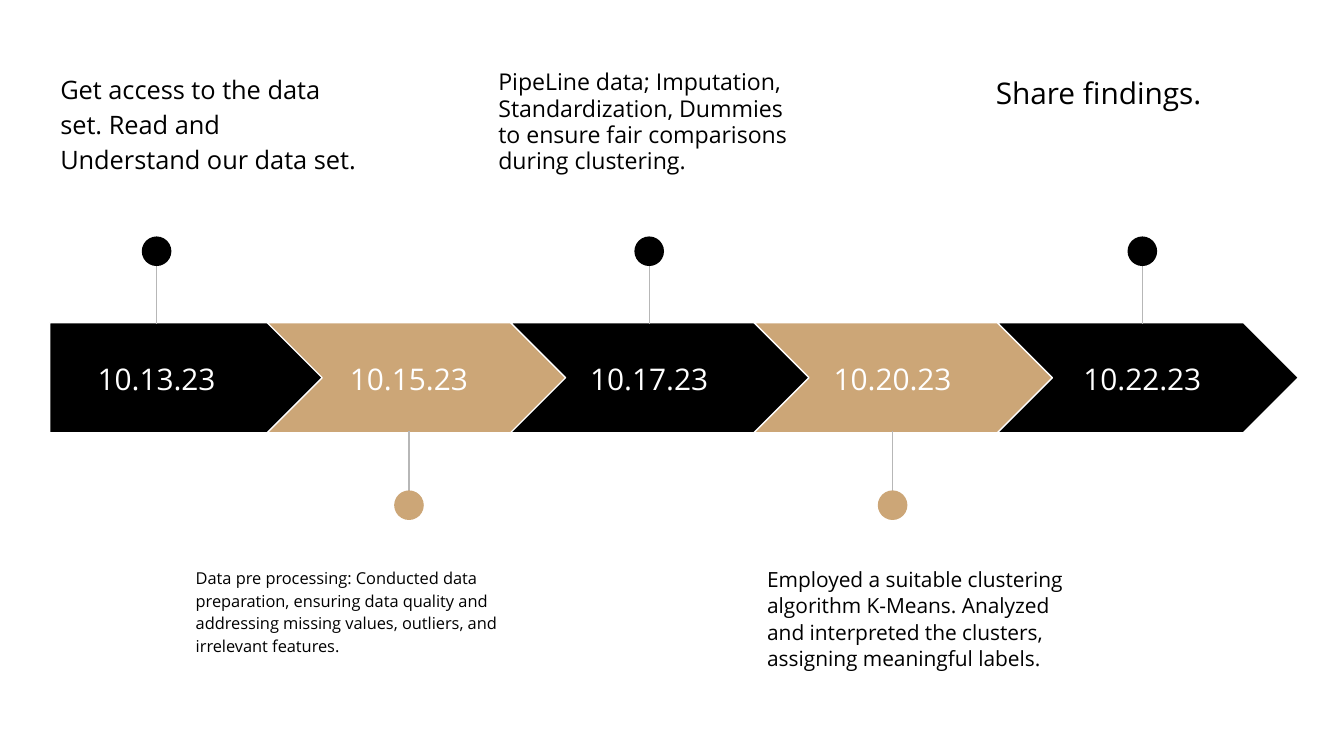
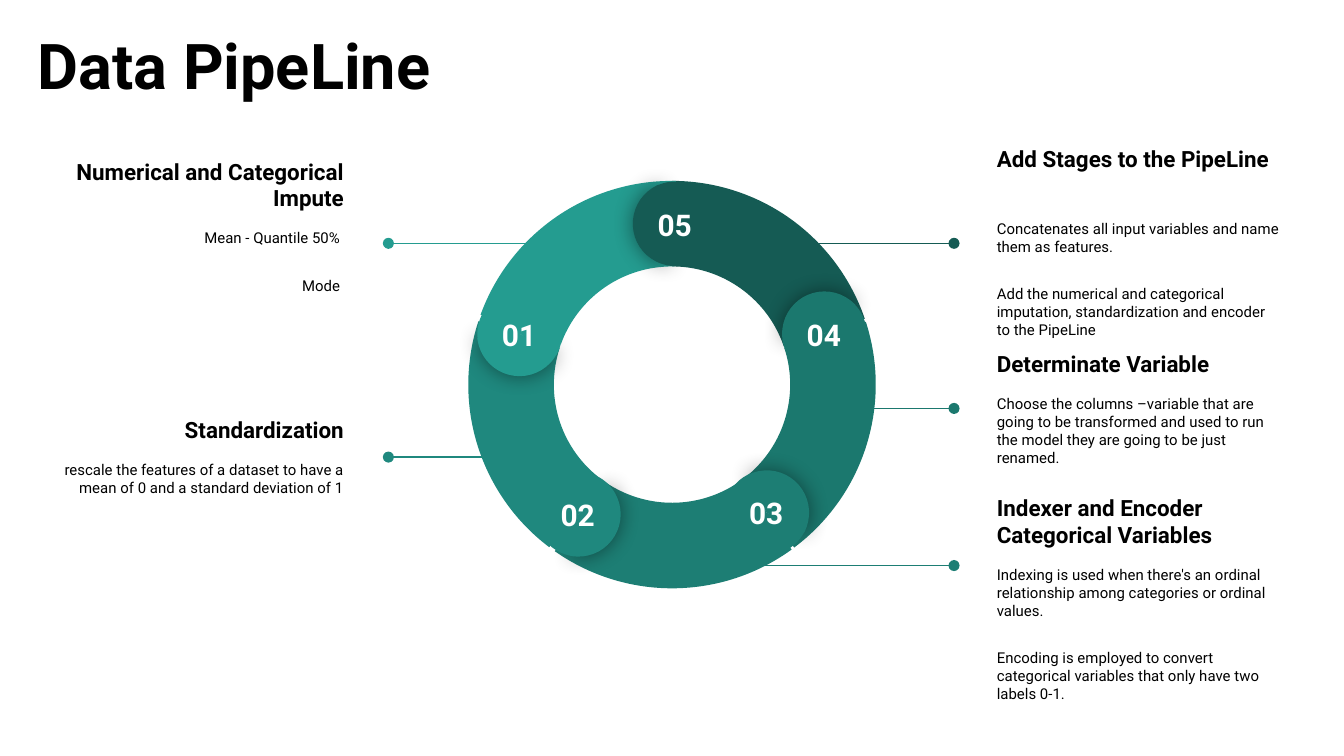
import pptx
import pptx.dml.color
import pptx.enum.shapes
import pptx.enum.text
import pptx.oxml
import pptx.oxml.ns
import pptx.oxml.xmlchemy
import pptx.util

Cm = pptx.util.Cm
Pt = pptx.util.Pt
SHAPE = pptx.enum.shapes.MSO_SHAPE
ALIGN = pptx.enum.text.PP_ALIGN
ANCHOR = pptx.enum.text.MSO_ANCHOR
qn = pptx.oxml.ns.qn
new_element = pptx.oxml.xmlchemy.OxmlElement

BLACK, WHITE, TAN, GREY = "000000", "FFFFFF", "CCA677", "B7B7B7"
TIMELINE_FONT, PIPELINE_FONT = "Open Sans", "Roboto"
INSET = 0.25
BLANK_LAYOUT = 6

MILESTONES = [
    ("10.13.23", 2.96, 0.89, 13.6, 1.15,
     "Get access to the data set. Read and Understand our data set."),
    ("10.15.23", 7.73, 3.45, 8.8, 1.15,
     "Data pre processing: Conducted data preparation, ensuring data quality "
     "and addressing missing values, outliers, and irrelevant features."),
    ("10.17.23", 12.27, 9.17, 12.4, 0.95,
     "PipeLine data; Imputation, Standardization, Dummies to ensure fair "
     "comparisons during clustering."),
    ("10.20.23", 16.87, 14.25, 11.2, 1.05,
     "Employed a suitable clustering algorithm K-Means. Analyzed and "
     "interpreted the clusters, assigning meaningful labels."),
    ("10.22.23", 21.59, 18.57, 16, 1.15, "Share findings."),
]

SEGMENTS = [
    ("02", "1F887E", 277, 211.1, 10.13, 8.92),
    ("04", "1B786E", 132, 67.1, 14.78, 5.51),
    ("05", "155B54", 60, 357.1, 11.96, 3.43),
    ("03", "1D7E74", 204, 139.1, 13.69, 8.89),
    ("01", "249C90", 350, 284.1, 9.02, 5.51),
]
SEGMENT_COLOURS = {segment[0]: segment[1] for segment in SEGMENTS}

STAGES = [
    ("01", "left", 3.45, 1.98, (10.74, 4.6), 9.4, 0.58,
     "Numerical and Categorical Impute", ["Mean - Quantile 50% ", "Mode "]),
    ("02", "left", 7.34, 2.57, (9.93, 8.64), 9.4, INSET,
     "Standardization",
     ["rescale the features of a dataset to have a mean of 0 and a standard "
      "deviation of 1"]),
    ("03", "right", 9.42, 4.11, (12.93, 10.69), 9.4, 0.58,
     "Indexer and Encoder Categorical Variables",
     ["Indexing is used when there's an ordinal relationship among "
      "categories or ordinal values.",
      "Encoding is employed to convert categorical variables that only have "
      "two labels 0-1."]),
    ("04", "right", 6.43, 2.57, (15.6, 7.72), 9.4, INSET,
     "Determinate Variable",
     ["Choose the columns –variable that are going to be transformed and "
      "used to run the model they are going to be just renamed."]),
    ("05", "right", 3.45, 2.57, (14.48, 4.6), 25.4, 0.58,
     "Add Stages to the PipeLine",
     ["Concatenates all input variables and name them as features.",
      "Add the numerical and categorical imputation, standardization and "
      "encoder to the PipeLine"]),
]
SIDES = {"left": (0.86, 7.34, ALIGN.RIGHT), "right": (18.59, 18.03, ALIGN.LEFT)}


def colour(value):
    return pptx.dml.color.RGBColor.from_string(value)


def add_figure(page, kind, left, top, width, height, fill,
               outline=None, adjustments=(), rotation=0):
    figure = page.shapes.add_shape(kind, Cm(left), Cm(top), Cm(width), Cm(height))
    figure.shadow.inherit = False
    figure.fill.solid()
    figure.fill.fore_color.rgb = colour(fill)
    if outline:
        figure.line.color.rgb = colour(outline)
        figure.line.width = Pt(0.75)
    else:
        figure.line.fill.background()
    for index, value in enumerate(adjustments):
        figure.adjustments[index] = value
    figure.rotation = rotation
    return figure


def add_glow(figure):
    effects = figure._element.spPr.find(qn("a:effectLst"))
    effects.append(pptx.oxml.parse_xml(
        '<a:outerShdw xmlns:a="http://schemas.openxmlformats.org/drawingml/2006/main"'
        f' blurRad="{int(Pt(11.2))}" dist="0" dir="0" algn="ctr" rotWithShape="0">'
        f'<a:srgbClr val="{BLACK}"><a:alpha val="43000"/></a:srgbClr></a:outerShdw>'))


def add_line(page, start, end, stroke, dot=False):
    line = page.shapes.add_connector(
        pptx.enum.shapes.MSO_CONNECTOR.STRAIGHT,
        Cm(start[0]), Cm(start[1]), Cm(end[0]), Cm(end[1]))
    line.line.color.rgb = colour(stroke)
    line.line.width = Pt(0.75)
    properties = line._element.spPr
    if dot:
        tail = new_element("a:tailEnd")
        tail.set("type", "oval")
        properties.find(qn("a:ln")).append(tail)
    properties.append(new_element("a:effectLst"))


def format_paragraph(para, font, size, ink=BLACK, bold=False, align=None):
    para.alignment = align
    for span in para.runs:
        span.font.name = font
        span.font.size = Pt(size)
        span.font.bold = bold
        span.font.color.rgb = colour(ink)


def add_text(page, text, left, top, width, height, font, size, ink=BLACK,
             bold=False, align=None, anchor=ANCHOR.TOP, bottom=INSET):
    box = page.shapes.add_textbox(Cm(left), Cm(top), Cm(width), Cm(height))
    frame = box.text_frame
    frame.word_wrap = True
    frame.vertical_anchor = anchor
    frame.margin_left = frame.margin_right = frame.margin_top = Cm(INSET)
    frame.margin_bottom = Cm(bottom)
    frame.text = text
    format_paragraph(frame.paragraphs[0], font, size, ink, bold, align)
    return frame


def add_milestone(page, index, date, pin, note_left, size, spacing, note):
    first, above = index == 0, index % 2 == 0
    fill = BLACK if above else TAN
    arrow_left, arrow_width = (0.94, 5.21) if first else (0.45 + 4.6 * index, 5.69)
    add_figure(page, SHAPE.PENTAGON if first else SHAPE.CHEVRON,
               arrow_left, 6.1, arrow_width, 2.08, fill, WHITE, [0.5])
    label_width = 4.04 if first else 3.66
    add_text(page, date, pin - label_width / 2, 6.5, label_width, 1.3,
             TIMELINE_FONT, 16, WHITE, align=ALIGN.CENTER, anchor=ANCHOR.MIDDLE)

    line_start, line_end, ball_top, note_top = (
        (4.57, 6.12, 4.47, 1.07) if above else (9.7, 8.15, 9.27, 10.44))
    add_line(page, (pin, line_start), (pin, line_end), GREY)
    add_figure(page, SHAPE.OVAL, pin - 0.28, ball_top, 0.56, 0.56, fill)
    frame = add_text(page, note, note_left, note_top, 6.22, 2.51, TIMELINE_FONT, size)
    frame.paragraphs[0].line_spacing = spacing
    frame.paragraphs[0].space_after = Pt(12)


def add_stage(page, number, side, top, height, start, gap, bottom, heading, details):
    left, dot_x, align = SIDES[side]
    add_line(page, start, (dot_x, start[1]), SEGMENT_COLOURS[number], dot=True)
    frame = add_text(page, heading, left, top, 5.89, height, PIPELINE_FONT, 12,
                     bold=True, align=align, anchor=ANCHOR.MIDDLE, bottom=bottom)
    for index, detail in enumerate(details):
        para = frame.add_paragraph()
        para.text = detail
        para.space_before = Pt(16 if index else gap)
        format_paragraph(para, PIPELINE_FONT, 8, align=align)


def add_ring(page):
    for number, fill, rotation, *head in SEGMENTS:
        add_figure(page, SHAPE.BLOCK_ARC, 8.85, 3.42, 7.7, 7.7, fill,
                   adjustments=[126.03, 168.68, 0.21], rotation=rotation)
    for number, fill, arc_rotation, rotation, left, top in SEGMENTS:
        outer = add_figure(page, SHAPE.PIE, left, top, 1.6, 1.6, fill,
                           adjustments=[61.9, 149.96], rotation=rotation)
        add_glow(outer)
        add_figure(page, SHAPE.PIE, left, top, 1.6, 1.6, fill,
                   adjustments=[40.28, 171.84], rotation=(rotation + 179.3) % 360)
        add_text(page, number, left + 0.08, top + 0.22, 1.42, 0.74,
                 PIPELINE_FONT, 16, WHITE, bold=True, align=ALIGN.CENTER)


def add_page(deck):
    page = deck.slides.add_slide(deck.slide_layouts[BLANK_LAYOUT])
    page.background.fill.solid()
    page.background.fill.fore_color.rgb = colour(WHITE)
    return page


def build_timeline(deck):
    page = add_page(deck)
    for index, milestone in enumerate(MILESTONES):
        add_milestone(page, index, *milestone)


def build_pipeline(deck):
    page = add_page(deck)
    add_text(page, "Data PipeLine", 0.46, -0.13, 9.45, 2.31, PIPELINE_FONT, 33.8,
             bold=True, anchor=ANCHOR.BOTTOM)
    for stage in STAGES:
        add_stage(page, *stage)
    add_ring(page)


def main():
    deck = pptx.Presentation()
    deck.slide_width, deck.slide_height = Cm(25.4), Cm(14.29)
    build_timeline(deck)
    build_pipeline(deck)
    deck.save("out.pptx")


if __name__ == "__main__":
    main()
